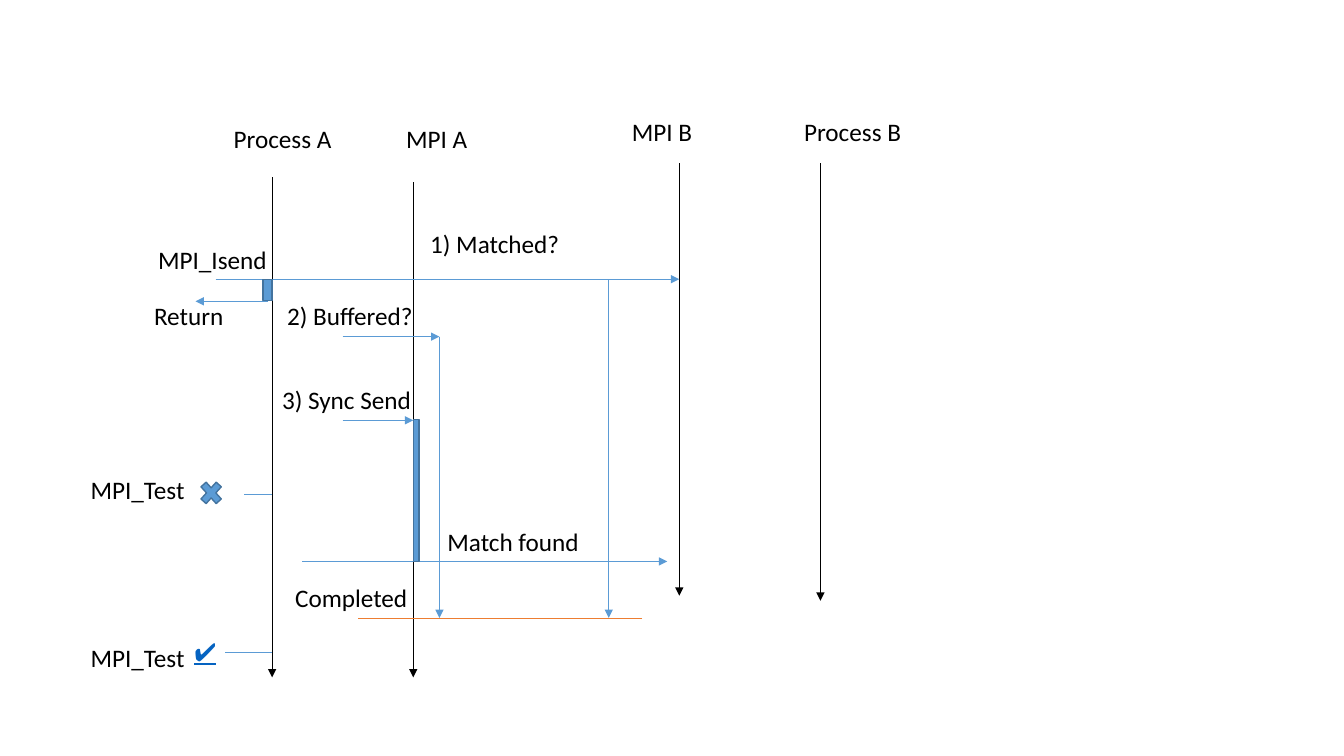
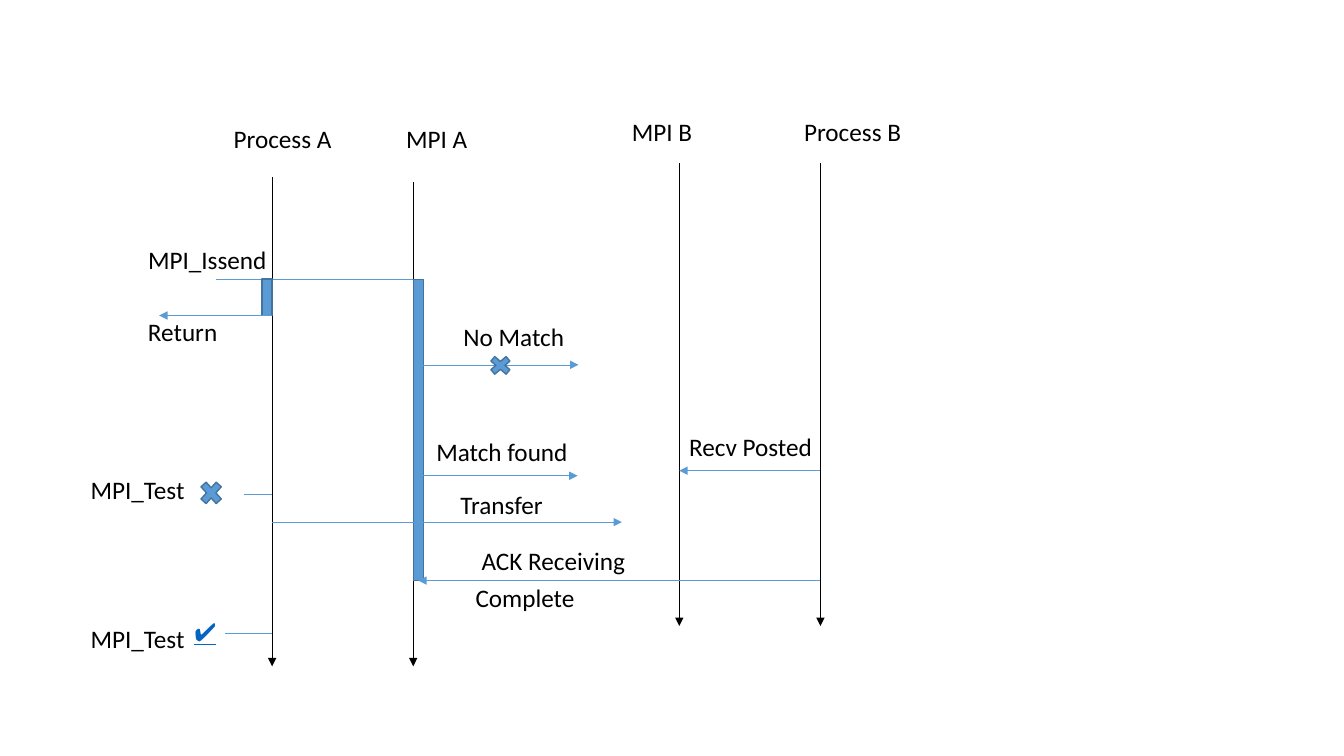
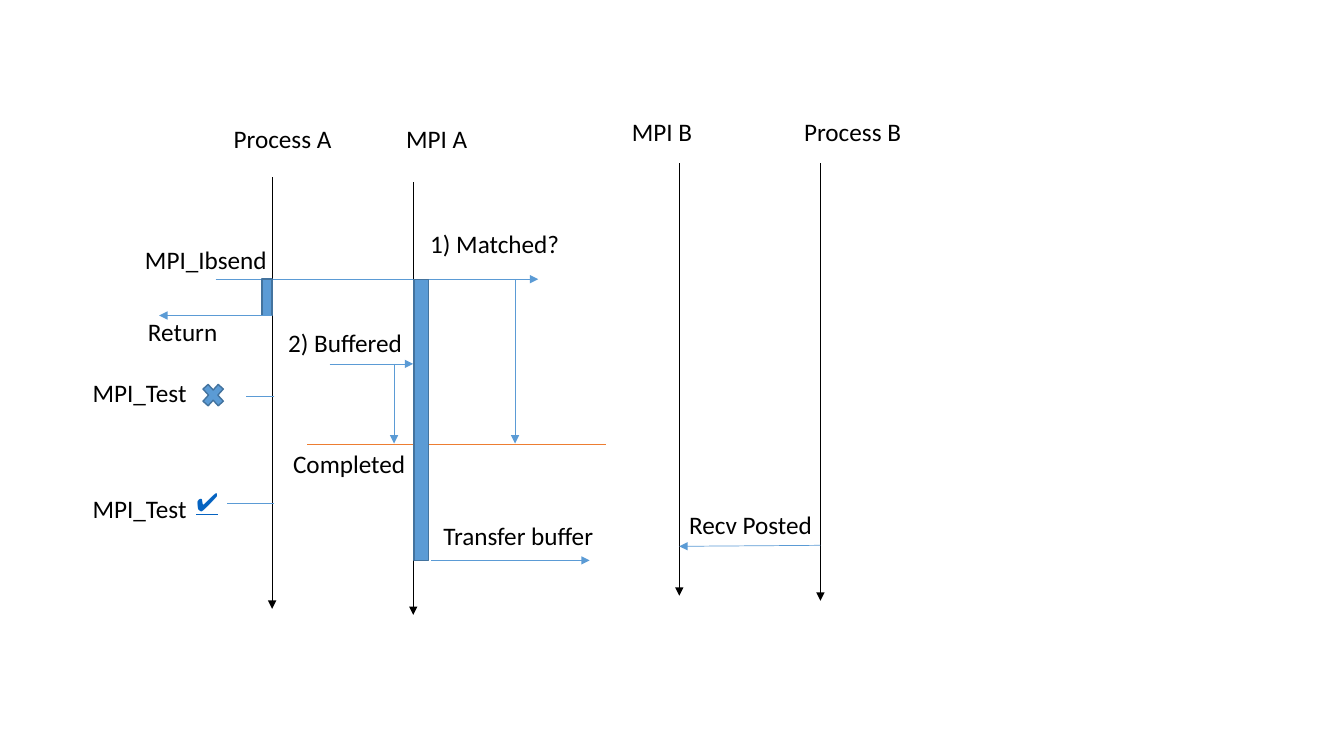
"""Build three message sequence slides for non-blocking sends."""
import dataclasses
import typing

import lxml.etree
import pptx
import pptx.dml.color
import pptx.enum.shapes
import pptx.enum.text
import pptx.oxml.ns
import pptx.util

INCH = 2.54
HUES = {"black": "000000", "blue": "5B9BD5", "edge": "43739E",
        "orange": "ED7D31", "link": "0563C1"}
PLAIN = {"name": "Calibri", "size": pptx.util.Pt(18)}
TICK = {"name": "Arial", "size": pptx.util.Pt(18), "underline": True}
FRAME = {"word_wrap": False,
         "auto_size": pptx.enum.text.MSO_AUTO_SIZE.SHAPE_TO_FIT_TEXT}
KINDS = pptx.enum.shapes.MSO_SHAPE
PROC_A, MPI_A, MPI_B, PROC_B = 2.7, 4.1, 6.74, 8.14
START = 2.77


@dataclasses.dataclass
class Line:
    x: float
    y: float
    to_x: float
    to_y: float
    hue: str = "blue"
    arrow: bool = True


@dataclasses.dataclass
class Label:
    x: float
    y: float
    wide: float
    text: str
    hue: str = "black"
    tick: bool = False


@dataclasses.dataclass
class Block:
    x: float
    y: float
    wide: float
    high: float
    cross: bool = False


Part = typing.Union[Line, Label, Block]


def cm(inch: float) -> int:
    return pptx.util.Cm(inch * INCH)


def tint(hue: str) -> pptx.dml.color.RGBColor:
    return pptx.dml.color.RGBColor.from_string(HUES[hue])


def format(target: object, values: dict) -> None:
    for key, value in values.items():
        setattr(target, key, value)


def draw_line(shapes: typing.Any, part: Line) -> None:
    line = shapes.add_connector(
        pptx.enum.shapes.MSO_CONNECTOR.STRAIGHT,
        cm(part.x), cm(part.y), cm(part.to_x), cm(part.to_y))
    line.line.width = pptx.util.Pt(0.5)
    line.line.color.rgb = tint(part.hue)
    qn = pptx.oxml.ns.qn
    props = line._element.spPr
    if part.arrow:
        lxml.etree.SubElement(props.find(qn("a:ln")), qn("a:tailEnd"), type="triangle")
    lxml.etree.SubElement(props, qn("a:effectLst"))


def draw_label(shapes: typing.Any, part: Label) -> None:
    box = shapes.add_textbox(cm(part.x), cm(part.y), cm(part.wide), cm(0.4))
    format(box.text_frame, FRAME)
    run = box.text_frame.paragraphs[0].add_run()
    run.text = part.text
    format(run.font, TICK if part.tick else PLAIN)
    run.font.color.rgb = tint(part.hue)


def draw_block(shapes: typing.Any, part: Block) -> None:
    kind = KINDS.MATH_MULTIPLY if part.cross else KINDS.RECTANGLE
    block = shapes.add_shape(kind, cm(part.x), cm(part.y), cm(part.wide), cm(part.high))
    block.shadow.inherit = False
    block.fill.solid()
    block.fill.fore_color.rgb = tint("blue")
    block.line.color.rgb = tint("edge")
    block.line.width = pptx.util.Pt(1)


DRAW = {Line: draw_line, Label: draw_label, Block: draw_block}


def lanes(*ends: float) -> list[Part]:
    tops = zip((PROC_A, MPI_A, MPI_B, PROC_B), (1.76, 1.81, 1.62, 1.62), ends)
    return [Line(x, top, x, end, "black") for x, top, end in tops] + [
        Label(2.22, 1.17, 1.18, "Process A"), Label(3.93, 1.17, 0.81, "MPI A"),
        Label(6.17, 1.1, 0.81, "MPI B"), Label(7.88, 1.1, 1.17, "Process B")]


def call(name: str, wide: float, end: float = PROC_A) -> list[Part]:
    return [Line(2.14, START, end, START, arrow=False),
            Label(2.76 - wide, 2.37, wide, name)]


def back(bar: Block, line: Line, x: float, y: float) -> list[Part]:
    return [bar, line, Label(x, y, 0.9, "Return")]


def late() -> list[Part]:
    return back(Block(2.6, START, 0.1, 0.36), Line(PROC_A, 3.13, 1.58, 3.13), 1.37, 3.09)


def tests(fail: float, done: float, dx: float = 0) -> list[Part]:
    edge = PROC_A + dx
    return [
        Label(0.8 + dx, fail, 1.14, "MPI_Test"),
        Block(1.95 + dx, fail + 0.07, 0.29, 0.32, True),
        Line(edge, fail + 0.24, edge - 0.28, fail + 0.24, arrow=False),
        Label(0.8 + dx, done, 1.14, "MPI_Test"),
        Line(edge, done + 0.15, edge - 0.47, done + 0.15, arrow=False),
        Label(1.83 + dx, done - 0.06, 0.4, "\u2714\ufe0f", "link", True)]


ISEND = [
    *lanes(6.72, 6.72, 5.91, 5.96),
    *call("MPI_Isend", 1.29),
    Line(2.58, START, MPI_B, START),
    Label(4.17, 2.22, 1.5, "1) Matched?"),
    Line(3.4, 3.34, 4.36, 3.34),
    Label(2.75, 2.93, 1.47, "2) Buffered?"),
    Line(6.37, 6.13, 3.55, 6.13, "orange", False),
    Label(2.83, 5.73, 1.33, "Completed"),
    Line(3.4, 4.17, MPI_A, 4.17),
    Label(2.7, 3.76, 1.5, "3) Sync Send"),
    Line(3, 5.57, 6.62, 5.57),
    Label(4.34, 5.17, 1.52, "Match found"),
    *back(Block(2.61, START, 0.09, 0.21), Line(2.66, 2.99, 1.94, 2.99), 1.43, 2.93),
    Line(4.36, 3.34, 4.36, 6.13),
    Line(6.04, START, 6.04, 6.13),
    Block(MPI_A, 4.16, 0.06, 1.41),
    *tests(4.66, 6.32),
]

ISSEND = [
    *lanes(6.61, 6.61, 6.21, 6.21),
    *call("MPI_Issend", 1.39, MPI_A),
    Block(MPI_A, START, 0.1, 2.99),
    Line(PROC_A, 5.18, 6.17, 5.18),
    Label(4.47, 4.81, 1.03, "Transfer"),
    Line(PROC_B, 4.67, MPI_B, 4.67),
    Label(6.74, 4.23, 1.43, "Recv Posted"),
    Line(4.2, 3.62, 5.74, 3.62),
    Label(4.5, 3.14, 1.21, "No Match"),
    Block(4.82, 3.5, 0.29, 0.25, True),
    Line(PROC_B, 5.76, 4.15, 5.76),
    Label(4.68, 5.36, 1.64, "ACK Receiving"),
    Line(4.19, 4.72, 5.73, 4.72),
    Label(4.23, 4.28, 1.52, "Match found"),
    *late(),
    Label(4.62, 5.73, 1.2, "Complete"),
    *tests(4.66, 6.13),
]

IBSEND = [
    *lanes(6.04, 6.1, 5.91, 5.96),
    *call("MPI_Ibsend", 1.42),
    Line(2.58, START, 5.34, START),
    Label(4.17, 2.22, 1.5, "1) Matched?"),
    Line(3.27, 3.61, MPI_A, 3.61),
    Label(2.76, 3.2, 1.35, "2) Buffered"),
    Line(6.01, 4.41, 3.05, 4.41, "orange", False),
    Label(2.81, 4.4, 1.33, "Completed"),
    Block(4.11, START, 0.14, 2.79),
    Line(4.28, 5.56, 5.85, 5.56),
    Line(PROC_B, 5.41, MPI_B, 5.42),
    Label(6.74, 5, 1.43, "Recv Posted"),
    Label(4.3, 5.11, 1.71, "Transfer buffer"),
    Line(3.91, 3.61, 3.91, 4.4),
    Line(5.11, 2.78, 5.11, 4.4),
    *late(),
    *tests(3.69, 4.84, 0.02),
]

deck = pptx.Presentation()
format(deck, {"slide_width": pptx.util.Cm(33.87), "slide_height": pptx.util.Cm(19.05)})
for parts in (ISEND, ISSEND, IBSEND):
    slide = deck.slides.add_slide(deck.slide_layouts[6])
    for part in parts:
        DRAW[type(part)](slide.shapes, part)
deck.save("out.pptx")
